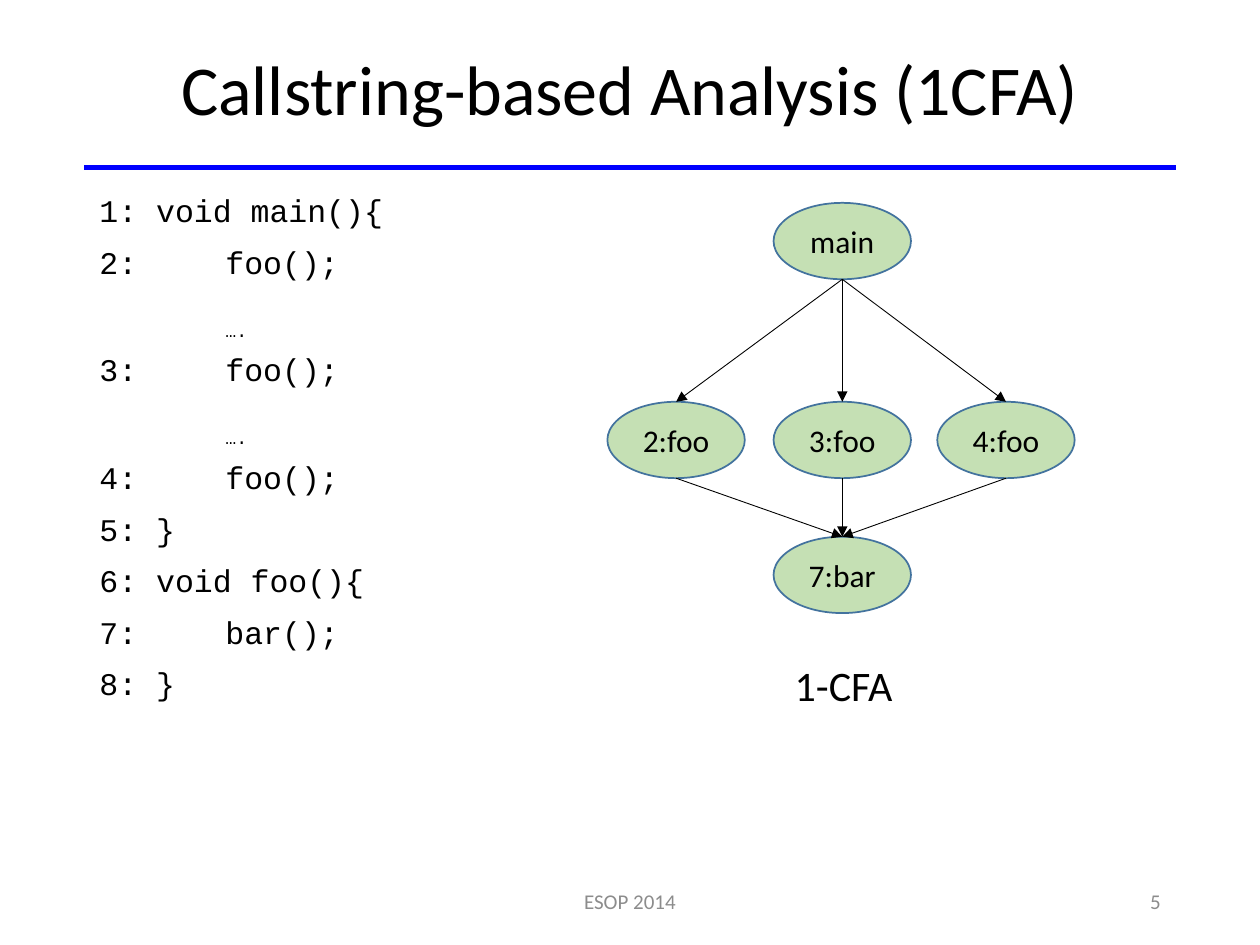
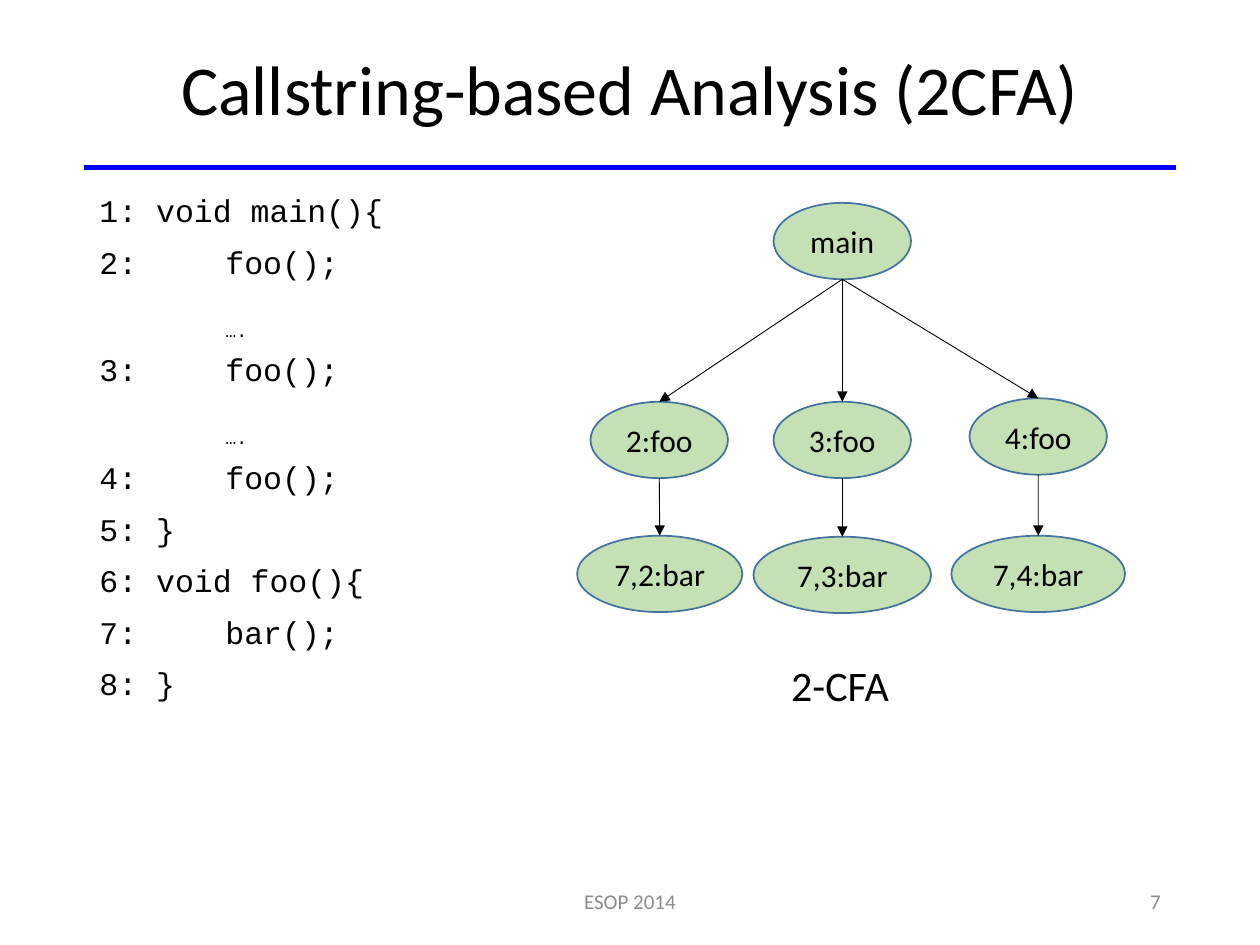
from dataclasses import dataclass

from lxml import etree
from pptx import Presentation
from pptx.dml.color import RGBColor
from pptx.enum.shapes import MSO_CONNECTOR, MSO_SHAPE
from pptx.enum.text import MSO_ANCHOR, MSO_AUTO_SIZE, PP_ALIGN
from pptx.oxml.ns import qn
from pptx.shapes.autoshape import Shape
from pptx.shapes.connector import Connector
from pptx.slide import Slide
from pptx.text.text import _Paragraph as Paragraph
from pptx.util import Cm, Pt

STRAIGHT = MSO_CONNECTOR.STRAIGHT
ELLIPSE = MSO_SHAPE.OVAL
MIDDLE, TOP = MSO_ANCHOR.MIDDLE, MSO_ANCHOR.TOP
NO_AUTOFIT = MSO_AUTO_SIZE.NONE
LEFT, CENTER, RIGHT = PP_ALIGN.LEFT, PP_ALIGN.CENTER, PP_ALIGN.RIGHT

BLACK, GREY, BLUE = "000000", "8C8C8C", "0000FF"
NODE_FILL, NODE_LINE = "C5E0B4", "43739E"
TEXT_FONT, CODE_FONT = "Calibri", "Courier New"

ELLIPSE_TOP, ELLIPSE_BOTTOM = 0, 4
NODE_WIDTH, NODE_HEIGHT = 2.77, 1.54
MAIN_TOP, FOO_TOP, BAR_TOP = 4.09, 8.1, 10.82
MIDDLE_X = 16.98
TAB_STOPS = (1.27, 2.54)

ELLIPSIS = "\t\t…."
CODE_LINES = (
    "1: void main(){",
    "2:\t\tfoo();",
    ELLIPSIS,
    "3:\t\tfoo();",
    ELLIPSIS,
    "4:\t\tfoo();",
    "5: }",
    "6: void foo(){",
    "7:\t\tbar();",
    "8: }",
)


@dataclass(frozen=True)
class Box:
    """A rectangle in centimetres."""
    left: float
    top: float
    width: float
    height: float

    def lengths(self) -> tuple[Cm, Cm, Cm, Cm]:
        return Cm(self.left), Cm(self.top), Cm(self.width), Cm(self.height)


@dataclass(frozen=True)
class Node:
    """A call-graph ellipse, placed by the middle of its top edge."""
    label: str
    center: float
    top: float
    width: float = NODE_WIDTH


@dataclass(frozen=True)
class CallGraph:
    title: str
    number: str
    caption: str
    caption_left: float
    nodes: tuple[Node, ...]
    calls: tuple[tuple[str, str], ...]


TITLE_BOX = Box(1.75, 0.41, 21.9, 2.92)
CODE_BOX = Box(1.75, 3.81, 8.03, 10.03)
FOOTER_BOX = Box(8.41, 17.65, 8.58, 1.02)
NUMBER_BOX = Box(17.93, 17.65, 5.72, 1.02)
RULE_LEFT, RULE_RIGHT, RULE_TOP = 1.7, 23.7, 3.38

MAIN = Node("main", MIDDLE_X, MAIN_TOP)
MIDDLE_FOO = Node("3:foo", MIDDLE_X, FOO_TOP)
MAIN_CALLS = tuple(("main", f"{line}:foo") for line in (2, 3, 4))

GRAPHS = (
    CallGraph(
        "Callstring-based Analysis (1CFA)", "5", "1-CFA", 15.77,
        (
            MAIN,
            Node("2:foo", 13.63, FOO_TOP),
            MIDDLE_FOO,
            Node("4:foo", 20.28, FOO_TOP),
            Node("7:bar", MIDDLE_X, BAR_TOP),
        ),
        MAIN_CALLS + tuple((f"{line}:foo", "7:bar") for line in (2, 3, 4)),
    ),
    CallGraph(
        "Callstring-based Analysis (2CFA)", "7", "2-CFA", 15.7,
        (
            MAIN,
            Node("2:foo", 13.29, FOO_TOP),
            MIDDLE_FOO,
            Node("4:foo", 20.93, 8.03),
            Node("7,2:bar", 13.3, 10.8, 3.33),
            Node("7,3:bar", MIDDLE_X, BAR_TOP, 3.58),
            Node("7,4:bar", 20.93, 10.8, 3.5),
        ),
        MAIN_CALLS + tuple((f"{line}:foo", f"7,{line}:bar") for line in (2, 3, 4)),
    ),
)


def color(value: str) -> RGBColor:
    return RGBColor.from_string(value)


def format_paragraph(paragraph: Paragraph, size: float, align: PP_ALIGN = LEFT,
                     font_name: str = TEXT_FONT, text_color: str = BLACK) -> None:
    paragraph.alignment = align
    paragraph.font.size = Pt(size)
    paragraph.font.name = font_name
    paragraph.font.color.rgb = color(text_color)


def place(shape: Shape, box: Box, anchor: MSO_ANCHOR) -> None:
    shape.left, shape.top, shape.width, shape.height = box.lengths()
    frame = shape.text_frame
    frame.word_wrap = True
    frame.auto_size = NO_AUTOFIT
    frame.vertical_anchor = anchor


def add_label(slide: Slide, text: str, box: Box, size: float, align: PP_ALIGN = LEFT,
              anchor: MSO_ANCHOR = MIDDLE, text_color: str = BLACK) -> None:
    label = slide.shapes.add_textbox(*box.lengths())
    place(label, box, anchor)
    label.text_frame.text = text
    format_paragraph(label.text_frame.paragraphs[0], size, align, text_color=text_color)


def add_line(slide: Slide, start: tuple[int, int], end: tuple[int, int],
             line_color: str, width: float) -> Connector:
    line = slide.shapes.add_connector(STRAIGHT, *start, *end)
    line.line.color.rgb = color(line_color)
    line.line.width = Pt(width)
    etree.SubElement(line._element.spPr, qn("a:effectLst"))
    return line


def add_frame(slide: Slide, graph: CallGraph) -> None:
    """Add the title, the rule below it and the footer."""
    add_line(slide, (Cm(RULE_LEFT), Cm(RULE_TOP)), (Cm(RULE_RIGHT), Cm(RULE_TOP)), BLUE, 3)
    title = slide.shapes.title
    place(title, TITLE_BOX, MIDDLE)
    title.text_frame.text = graph.title
    paragraph = title.text_frame.paragraphs[0]
    paragraph.line_spacing = 0.9
    format_paragraph(paragraph, 40, CENTER)
    add_label(slide, "ESOP 2014", FOOTER_BOX, 12, CENTER, text_color=GREY)
    add_label(slide, graph.number, NUMBER_BOX, 12, RIGHT, text_color=GREY)


def set_tabs_without_bullet(paragraph: Paragraph) -> None:
    properties = paragraph._p.get_or_add_pPr()
    properties.set("marL", "0")
    properties.set("indent", "0")
    etree.SubElement(properties, qn("a:buNone"))
    tabs = etree.SubElement(properties, qn("a:tabLst"))
    for stop in TAB_STOPS:
        etree.SubElement(tabs, qn("a:tab"), pos=str(Cm(stop)), algn="l")


def add_code(slide: Slide) -> None:
    body = slide.placeholders[1]
    place(body, CODE_BOX, TOP)
    frame = body.text_frame
    frame.text = "\n".join(CODE_LINES)
    for paragraph, code_line in zip(frame.paragraphs, CODE_LINES):
        set_tabs_without_bullet(paragraph)
        paragraph.line_spacing = 0.9
        paragraph.space_before = Pt(10)
        format_paragraph(paragraph, 18, font_name=CODE_FONT)
        if code_line == ELLIPSIS:
            paragraph.runs[0]._r.get_or_add_rPr().set("baseline", "-25000")


def add_node(slide: Slide, node: Node) -> Shape:
    box = Box(node.center - node.width / 2, node.top, node.width, NODE_HEIGHT)
    ellipse = slide.shapes.add_shape(ELLIPSE, *box.lengths())
    place(ellipse, box, MIDDLE)
    ellipse.shadow.inherit = False
    ellipse.fill.solid()
    ellipse.fill.fore_color.rgb = color(NODE_FILL)
    ellipse.line.color.rgb = color(NODE_LINE)
    ellipse.line.width = Pt(1)
    frame = ellipse.text_frame
    frame.margin_left = frame.margin_right = 0
    frame.text = node.label
    format_paragraph(frame.paragraphs[0], 18, CENTER)
    return ellipse


def add_call(slide: Slide, caller: Shape, callee: Shape) -> None:
    """Draw an arrow from the caller's bottom to the callee's top."""
    start = (caller.left + caller.width // 2, caller.top + caller.height)
    end = (callee.left + callee.width // 2, callee.top)
    arrow = add_line(slide, start, end, BLACK, 0.5)
    etree.SubElement(arrow._element.spPr.find(qn("a:ln")), qn("a:tailEnd"), type="triangle")
    # begin_connect only knows four sites, but an ellipse has eight
    joint = arrow._element.nvCxnSpPr.cNvCxnSpPr.get_or_add_stCxn()
    joint.id, joint.idx = caller.shape_id, ELLIPSE_BOTTOM
    arrow.end_connect(callee, ELLIPSE_TOP)


def add_graph(slide: Slide, graph: CallGraph) -> None:
    ellipses = {node.label: add_node(slide, node) for node in graph.nodes}
    for caller, callee in graph.calls:
        add_call(slide, ellipses[caller], ellipses[callee])
    add_label(slide, graph.caption, Box(graph.caption_left, 13.18, 2.57, 1.27), 24, anchor=TOP)


def main() -> None:
    presentation = Presentation()
    presentation.slide_width, presentation.slide_height = Cm(25.4), Cm(19.05)
    layout = presentation.slide_layouts[1]
    for graph in GRAPHS:
        slide = presentation.slides.add_slide(layout)
        add_frame(slide, graph)
        add_code(slide)
        add_graph(slide, graph)
    presentation.save("out.pptx")


if __name__ == "__main__":
    main()
